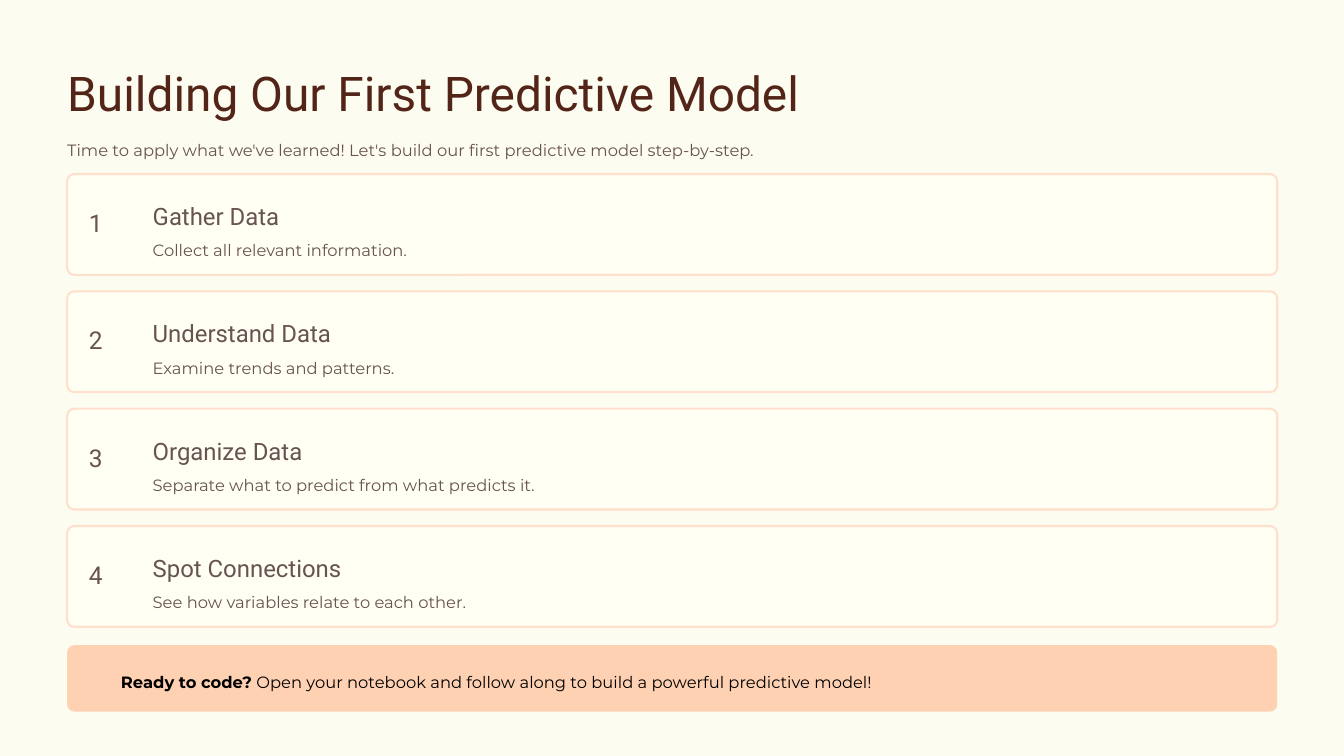
from pptx import Presentation
from pptx.dml.color import RGBColor
from pptx.enum import shapes, text
from pptx.util import Pt

BACKGROUND = RGBColor(0xFD, 0xFC, 0xF0)
CREAM = RGBColor(0xFF, 0xFF, 0xF4)
PEACH_LINE = RGBColor(0xFF, 0xE0, 0xCC)
PEACH = RGBColor(0xFF, 0xD1, 0xB3)
BROWN = RGBColor(0x53, 0x24, 0x18)
TAUPE = RGBColor(0x67, 0x53, 0x4F)
BLACK = RGBColor(0, 0, 0)

HEADING, BODY = "Roboto", "Montserrat"
MARGIN, WIDTH = 57.6, 1037.2
CARD_TOP, CARD_HEIGHT, CARD_PITCH = 149.2, 86.4, 100.56

STEPS = [
    ("Gather Data", "Collect all relevant information."),
    ("Understand Data", "Examine trends and patterns."),
    ("Organize Data", "Separate what to predict from what predicts it."),
    ("Spot Connections", "See how variables relate to each other."),
]


def write(box, runs, font, size, color, spacing):
    """Fill a box with one paragraph of (words, bold) runs."""
    frame = box.text_frame
    frame.word_wrap = True
    frame.auto_size = text.MSO_AUTO_SIZE.NONE
    frame.vertical_anchor = text.MSO_ANCHOR.TOP
    frame.margin_left = frame.margin_right = 0
    frame.margin_top = frame.margin_bottom = 0
    para = frame.paragraphs[0]
    para.alignment = text.PP_ALIGN.LEFT
    para.line_spacing = spacing
    for words, bold in runs:
        span = para.add_run()
        span.text = words
        span.font.name = font
        span.font.size = Pt(size)
        span.font.bold = bold
        span.font.color.rgb = color


def add_label(page, left, top, width, height, runs, font=BODY, size=14,
              color=TAUPE, spacing=1.32):
    box = page.shapes.add_textbox(Pt(left), Pt(top), Pt(width), Pt(height))
    write(box, runs, font, size, color, spacing)


def add_panel(page, left, top, width, height, corner, fill, line=None):
    panel = page.shapes.add_shape(shapes.MSO_SHAPE.ROUNDED_RECTANGLE,
                                  Pt(left), Pt(top), Pt(width), Pt(height))
    panel.adjustments[0] = corner
    panel.shadow.inherit = False
    panel.fill.solid()
    panel.fill.fore_color.rgb = fill
    if line is None:
        panel.line.fill.background()
    else:
        panel.line.color.rgb = line
        panel.line.width = Pt(1.8)


def add_header(page, left, top, width):
    title = page.shapes.title
    title.left, title.top = Pt(left), Pt(top)
    title.width, title.height = Pt(653), Pt(53.3)
    write(title, [("Building Our First Predictive Model", False)],
          HEADING, 41, BROWN, 1.3)
    add_label(page, left, top + 74.9, width, 18.7,
              [("Time to apply what we've learned! Let's build our first "
                "predictive model step-by-step.", False)])


def add_step(page, left, top, width, height, number, name, detail):
    add_panel(page, left, top, width, height, 0.07, CREAM, PEACH_LINE)
    # Number tab
    add_panel(page, left + 1.8, top + 1.8, 57.6, height - 3.6, 0.067, CREAM)
    add_label(page, left + 18.7, top + 29.2, 21.6, 28,
              [(str(number), False)], HEADING, 21, spacing=1)
    # Step name and detail
    add_label(page, left + 73.3, top + 16.4, 206, 26.6,
              [(name, False)], HEADING, 20.5, spacing=1.29)
    add_label(page, left + 73.3, top + 51.7, width - 89.7, 18.7,
              [(detail, False)])


def add_callout(page, left, top, width, height):
    add_panel(page, left, top, width, height, 0.106, PEACH)
    add_label(page, left + 46.1, top + 18, width - 61, 18.7,
              [("Ready to code?", True),
               (" Open your notebook and follow along to build a powerful "
                "predictive model!", False)], color=BLACK)


def main():
    deck = Presentation()
    deck.slide_width, deck.slide_height = Pt(1152), Pt(648)
    page = deck.slides.add_slide(deck.slide_layouts[5])
    page.background.fill.solid()
    page.background.fill.fore_color.rgb = BACKGROUND

    add_header(page, MARGIN, 39.6, WIDTH)
    for index, (name, detail) in enumerate(STEPS):
        add_step(page, MARGIN, CARD_TOP + index * CARD_PITCH, WIDTH,
                 CARD_HEIGHT, index + 1, name, detail)
    add_callout(page, MARGIN, 553, WIDTH, 56.9)
    deck.save("out.pptx")


if __name__ == "__main__":
    main()
